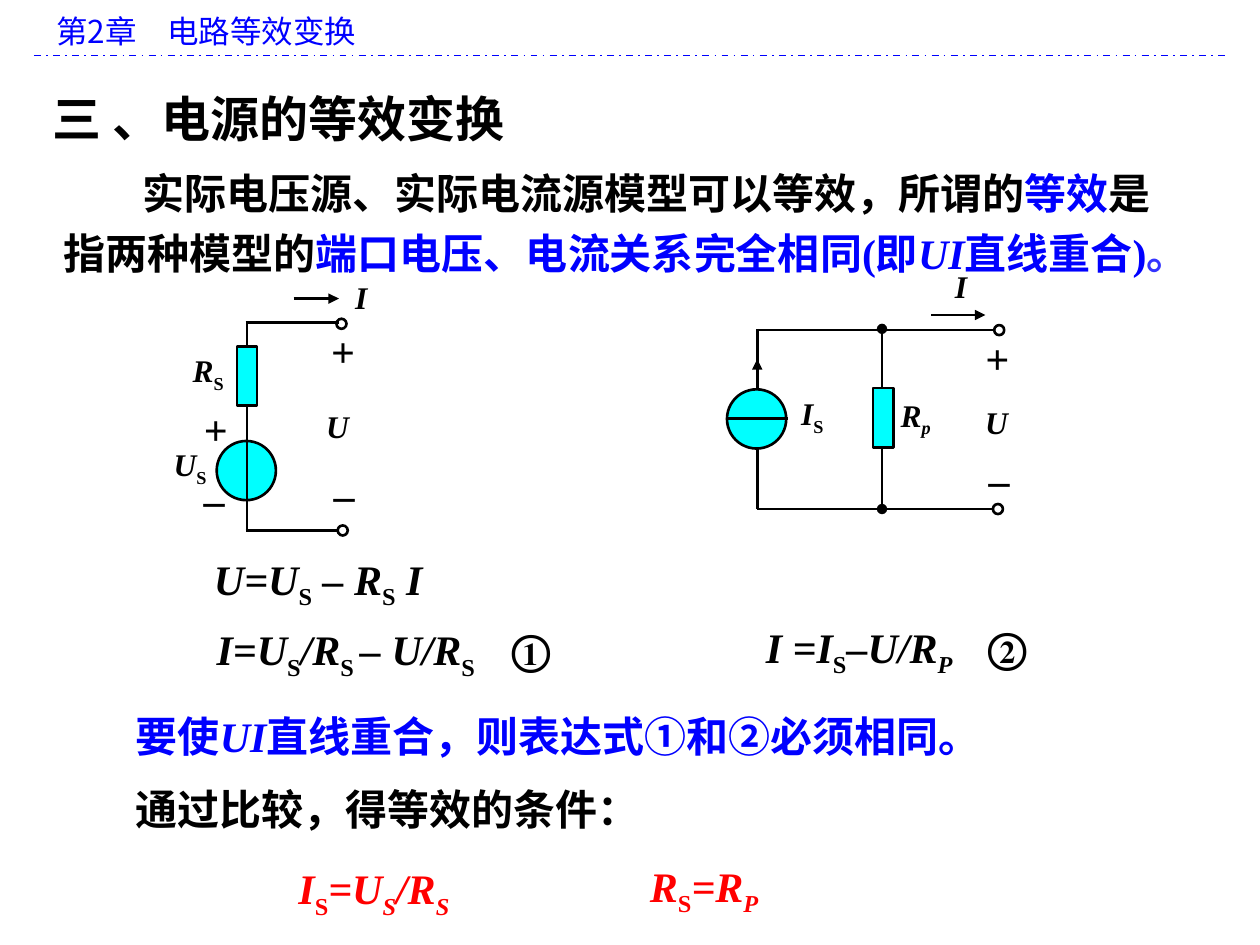
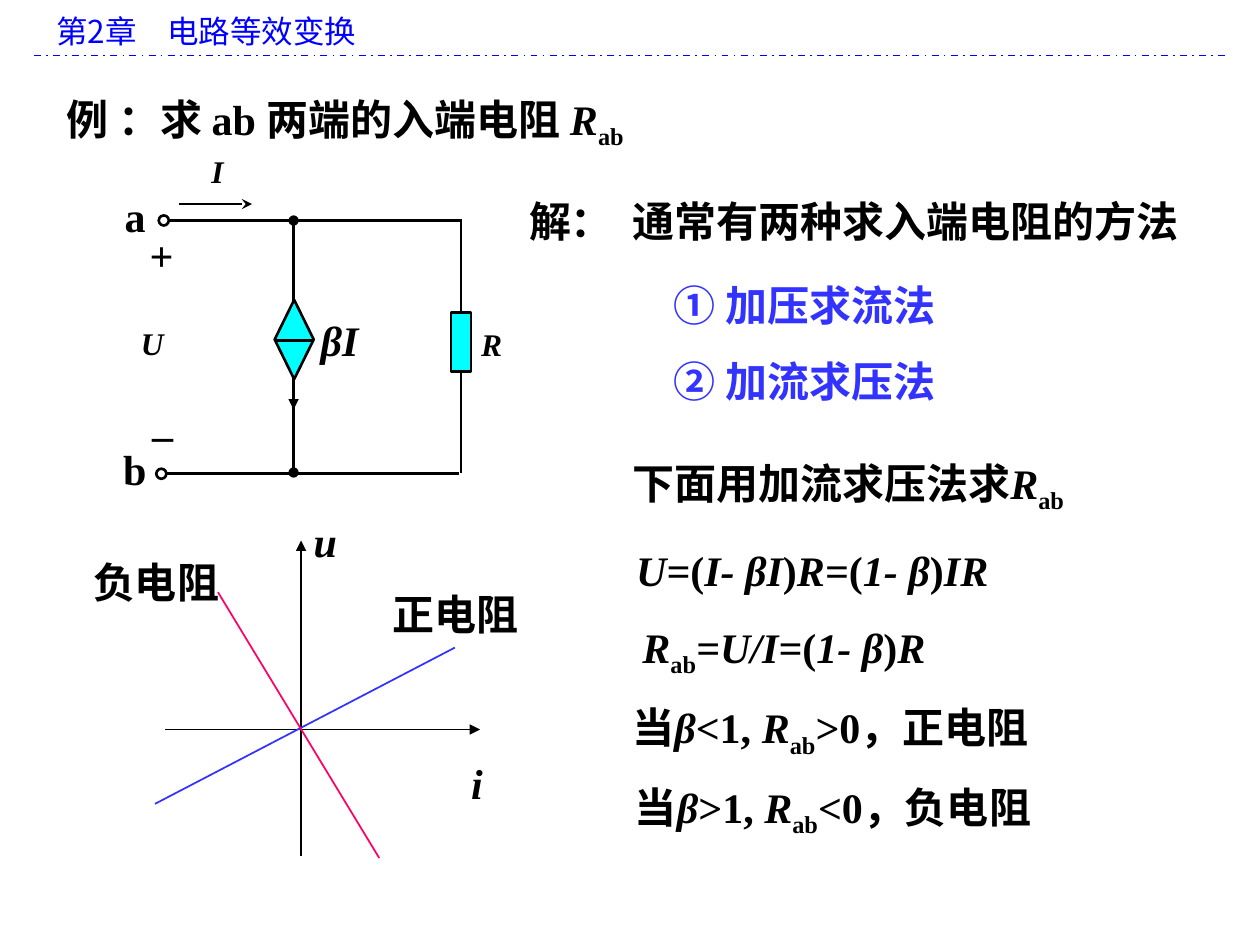
from dataclasses import dataclass

import pptx
import pptx.dml.color
import pptx.enum.dml
import pptx.enum.shapes
import pptx.enum.text
import pptx.oxml.ns
import pptx.util
from lxml import etree
from pptx.util import Inches

RGBColor = pptx.dml.color.RGBColor
Geometry = pptx.enum.shapes.MSO_SHAPE
Align = pptx.enum.text.PP_ALIGN
Anchor = pptx.enum.text.MSO_ANCHOR

BLACK = RGBColor(0x00, 0x00, 0x00)
BLUE = RGBColor(0x00, 0x00, 0xFF)
INDIGO = RGBColor(0x33, 0x33, 0xFF)
RED = RGBColor(0xFF, 0x00, 0x00)
PINK = RGBColor(0xFF, 0x00, 0x66)
CYAN = RGBColor(0x00, 0xFF, 0xFF)

SERIF = "Times New Roman"
SANS = "Noto Sans CJK SC"

# Marks inside a label: each one switches a style on and off
ITALIC, SUBSCRIPT = "*", "~"
COLOUR_MARKS = {"|": BLUE, "^": INDIGO}


@dataclass
class Label:
    text: str
    left: float
    top: float
    width: float
    height: float = 0.5
    size: int = 24
    colour: RGBColor = BLACK
    font: str = SERIF
    bold: bool = True
    centred: bool = False
    first_indent: float = 0
    line_spacing: float = 1
    tab: float = 0


@dataclass
class Wire:
    x1: float
    y1: float
    x2: float
    y2: float
    weight: float = 1.5
    colour: RGBColor = BLACK
    head: str = ""
    tail: str = ""
    dashed: bool = False


@dataclass
class Part:
    geometry: int
    left: float
    top: float
    width: float
    height: float
    filled: bool = True


def small(text: str, left: float, top: float, width: float = 0.5) -> Label:
    """Quantity beside a circuit part."""
    return Label(text, left, top, width, 0.4, 18)


def sign(text: str, left: float, top: float) -> Label:
    """Centred polarity sign."""
    return Label(text, left, top, 0.38, centred=True)


def terminal(left: float, top: float) -> Part:
    return Part(Geometry.OVAL, left, top, 0.08, 0.08, filled=False)


def resistor(left: float, top: float) -> Part:
    return Part(Geometry.RECTANGLE, left, top, 0.16, 0.47)


def source(left: float, top: float) -> Part:
    return Part(Geometry.OVAL, left, top, 0.47, 0.47)


def add_child(parent, tag: str, **attributes: str):
    return etree.SubElement(parent, pptx.oxml.ns.qn(tag), **attributes)


def split_spans(text: str, colour: RGBColor) -> list:
    """Split marked text into (text, italic, subscript, colour)."""
    spans, active, piece = [], set(), ""
    for letter in text + ITALIC:
        if letter not in (ITALIC, SUBSCRIPT, *COLOUR_MARKS):
            piece += letter
            continue
        if piece:
            shade = next((COLOUR_MARKS[m] for m in COLOUR_MARKS if m in active), colour)
            spans.append((piece, ITALIC in active, SUBSCRIPT in active, shade))
        piece = ""
        active ^= {letter}
    return spans


def draw_label(page, label: Label) -> None:
    box = page.shapes.add_textbox(Inches(label.left), Inches(label.top),
                                  Inches(label.width), Inches(label.height))
    frame = box.text_frame
    frame.word_wrap = True
    frame.auto_size = pptx.enum.text.MSO_AUTO_SIZE.SHAPE_TO_FIT_TEXT
    para = frame.paragraphs[0]
    if label.centred:
        frame.vertical_anchor = Anchor.MIDDLE
        para.alignment = Align.CENTER
    if label.line_spacing != 1:
        para.line_spacing = label.line_spacing
    properties = para._p.get_or_add_pPr()
    if label.first_indent:
        properties.set("marL", "0")
        properties.set("indent", str(Inches(label.first_indent)))
    if label.tab:
        tabs = add_child(properties, "a:tabLst")
        add_child(tabs, "a:tab", pos=str(Inches(label.tab)), algn="l")
    for text, italic, subscript, colour in split_spans(label.text, label.colour):
        span = para.add_run()
        span.text = text
        span.font.name = label.font
        span.font.size = pptx.util.Pt(label.size)
        span.font.bold = label.bold
        span.font.italic = italic
        span.font.color.rgb = colour
        add_child(span.font._element, "a:ea", typeface=SANS)
        if subscript:
            span.font._element.set("baseline", "-25000")


def draw_wire(page, wire: Wire) -> None:
    line = page.shapes.add_connector(
        pptx.enum.shapes.MSO_CONNECTOR.STRAIGHT,
        Inches(wire.x1), Inches(wire.y1), Inches(wire.x2), Inches(wire.y2))
    line.line.color.rgb = wire.colour
    line.line.width = pptx.util.Pt(wire.weight)
    if wire.dashed:
        line.line.dash_style = pptx.enum.dml.MSO_LINE.DASH_DOT
    stroke = line.line._get_or_add_ln()
    for tag, kind in (("a:headEnd", wire.head), ("a:tailEnd", wire.tail)):
        if kind:
            add_child(stroke, tag, type=kind)
    add_child(line._element.spPr, "a:effectLst")


def draw_part(page, part: Part) -> None:
    shape = page.shapes.add_shape(part.geometry, Inches(part.left), Inches(part.top),
                                  Inches(part.width), Inches(part.height))
    shape.shadow.inherit = False
    shape.line.color.rgb = BLACK
    shape.line.width = pptx.util.Pt(1.5)
    if part.filled:
        shape.fill.solid()
        shape.fill.fore_color.rgb = CYAN
    else:
        shape.fill.background()


DRAWERS = {Label: draw_label, Wire: draw_wire, Part: draw_part}

# Chapter heading and rule on every slide
CHAPTER_BAND = [
    Label("第2章\t电路等效变换", 0.35, 0.05, 9.37, 0.4, 18, BLUE, SANS, bold=False, tab=0.88),
    Wire(0.27, 0.44, 9.72, 0.44, 1, BLUE, dashed=True),
]

VOLTAGE_SOURCE_CIRCUIT = [
    source(1.72, 3.5),
    Wire(1.96, 2.56, 1.96, 4.22),
    resistor(1.88, 2.75),
    sign("+", 1.52, 3.15),
    sign("_", 1.51, 3.6),
    Wire(1.95, 2.56, 2.69, 2.56),
    Wire(1.95, 4.21, 2.69, 4.21),
    terminal(2.67, 2.53),
    terminal(2.68, 4.17),
    Wire(2.33, 2.37, 2.69, 2.37, tail="triangle"),
    sign("+", 2.53, 2.53),
    sign("_", 2.54, 3.56),
    small("*U*", 2.49, 3.18),
    small("*I*", 2.72, 2.16),
    small("*U*~S~", 1.28, 3.48, 0.71),
    small("*R*~S~", 1.43, 2.74, 0.71),
]

CURRENT_SOURCE_CIRCUIT = [
    Wire(7, 2.61, 7, 4.04, head="oval", tail="oval"),
    resistor(6.93, 3.08),
    small("*I*", 7.48, 2.07),
    small("*R~p~*", 7.05, 3.09, 0.58),
    Label("*+*", 7.72, 2.59, 0.5),
    small("*U*", 7.72, 3.15),
    Label("*_*", 7.77, 3.44, 0.5),
    small("*I*~S~", 6.26, 3.08),
    Wire(6.01, 2.61, 6.01, 4.04),
    Wire(6.01, 4.04, 7.89, 4.04),
    Wire(6.01, 3.09, 6.01, 2.85, tail="triangle"),
    source(5.77, 3.09),
    Wire(5.77, 3.32, 6.25, 3.32),
    terminal(7.88, 4),
    Wire(6.01, 2.62, 7.9, 2.62),
    terminal(7.89, 2.58),
    Wire(7.39, 2.5, 7.82, 2.5, tail="triangle"),
]

EQUIVALENCE_TEXT = [
    Label("三 、电源的等效变换", 0.32, 0.65, 8.65, 0.57, 28),
    Label("实际电压源、实际电流源模型可以等效，所谓的|等效|是指两种模型的"
          "|端口电压、电流关系完全相同(即*UI*直线重合)|^。^",
          0.41, 1.2, 9.14, 1.54, first_indent=0.62, line_spacing=1.2),
    Label("*I =I*~S~*–U/R~P~*\t②", 5.98, 4.88, 3.18, tab=1.76),
    Label("*U=U*~S~ *– R*~S~ *I*", 1.6, 4.34, 2.96),
    Label("*I=U*~S~*/R*~S ~*– U/R*~S~\t①", 1.62, 4.9, 3.71, tab=2.34),
    Label("要使*UI*直线重合，则表达式①和②必须相同。", 0.98, 5.59, 8.8, colour=BLUE),
    Label("通过比较，得等效的条件：", 0.98, 6.17, 5.04),
    Label("*I*~S~*=U~S~/R~S~*", 2.27, 6.8, 1.88, colour=RED),
    Label("*R*~S~*=R~P~*", 5.06, 6.78, 1.88, colour=RED),
]

SOLUTION_TEXT = [
    Label("例 ：求 ab 两端的入端电阻 *R*~ab~", 0.43, 0.69, 9.17),
    Label("解：", 4.1, 1.5, 0.92),
    Label("通常有两种求入端电阻的方法", 4.92, 1.5, 4.67),
    Label("① 加压求流法", 5.25, 2.17, 3.97, colour=INDIGO),
    Label("② 加流求压法", 5.25, 2.77, 3.97, colour=INDIGO),
    Label("下面用加流求压法求*R*~ab~", 4.92, 3.58, 4),
    Label("*U=*(*I- βI*)*R=*(*1- β*)*IR*", 4.95, 4.27, 4.63),
    Label("*R*~ab~*=U/I=*(*1- β*)*R*", 5, 4.88, 4.67),
    Label("当*β*<1, *R*~ab~>0，正电阻", 4.92, 5.52, 4.67),
    Label("当*β*>1, *R*~ab~<0，负电阻", 4.94, 6.15, 4.64),
]

RESISTANCE_GRAPH = [
    Label("*u*", 2.39, 4.04, 0.42),
    Label("*i*", 3.64, 5.96, 0.33),
    Wire(1.31, 5.79, 3.81, 5.79, 1, tail="triangle"),
    Wire(2.39, 6.79, 2.39, 4.29, 1, tail="triangle"),
    Wire(1.23, 6.38, 3.61, 5.14, 1, INDIGO),
    Label("正电阻", 3.02, 4.62, 1.3),
    Wire(3.01, 6.81, 1.73, 4.7, 1, PINK),
    Label("负电阻", 0.64, 4.37, 1.3),
]

CONTROLLED_SOURCE_CIRCUIT = [
    Wire(1.33, 1.75, 3.67, 1.75),
    Wire(2.33, 1.75, 2.33, 3.75, head="oval", tail="oval"),
    Wire(3.66, 1.75, 3.66, 3.75),
    Wire(1.42, 1.62, 2, 1.62, 1, tail="stealth"),
    Label("*βI*", 2.36, 2.45, 0.67, centred=True),
    small("*I*", 1.58, 1.16),
    Label("a", 0.89, 1.46, 0.33),
    Label("b", 0.88, 3.47, 0.33),
    Label("+", 1.09, 1.77, 0.33),
    small("*U*", 1.02, 2.52),
    Label("_", 1.11, 3.08, 0.33),
    small("*R*", 3.72, 2.53),
    Part(Geometry.DIAMOND, 2.18, 2.38, 0.31, 0.63),
    Wire(2.18, 2.7, 2.49, 2.7),
    Wire(2.33, 3.02, 2.33, 3.25, tail="triangle"),
    Wire(1.31, 3.76, 3.64, 3.76),
    resistor(3.58, 2.48),
    terminal(1.24, 3.72),
    terminal(1.26, 1.71),
]

SLIDES = [
    EQUIVALENCE_TEXT + VOLTAGE_SOURCE_CIRCUIT + CURRENT_SOURCE_CIRCUIT,
    SOLUTION_TEXT + RESISTANCE_GRAPH + CONTROLLED_SOURCE_CIRCUIT,
]


def main() -> None:
    deck = pptx.Presentation()
    deck.slide_width, deck.slide_height = Inches(10), Inches(7.5)
    for content in SLIDES:
        page = deck.slides.add_slide(deck.slide_layouts[6])
        for element in CHAPTER_BAND + content:
            DRAWERS[type(element)](page, element)
    deck.save("out.pptx")


if __name__ == "__main__":
    main()
